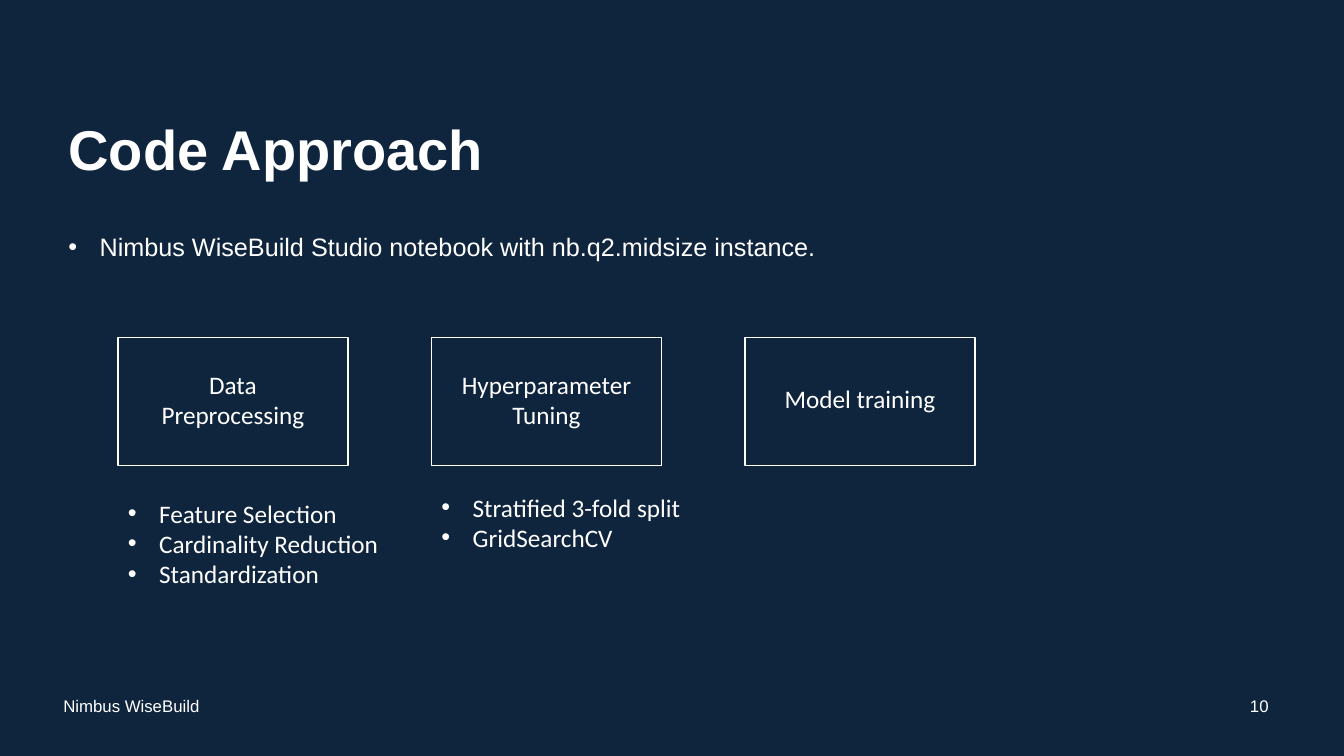
from lxml import etree
from pptx import Presentation
from pptx import util as u
from pptx.dml.color import RGBColor
from pptx.enum import shapes, text
from pptx.oxml.ns import qn

COLORS = {"navy": "0F253E", "white": "FFFFFF"}
WHITE = RGBColor.from_string(COLORS["white"])
LEFT, CENTER = text.PP_ALIGN.LEFT, text.PP_ALIGN.CENTER


def write(box, lines, size=18, font="Calibri", bold=False, align=LEFT,
          anchor=text.MSO_ANCHOR.TOP, bullets=False):
    """Fill a box with one formatted paragraph per line."""
    frame = box.text_frame
    frame.word_wrap = True
    frame.auto_size = text.MSO_AUTO_SIZE.NONE
    frame.vertical_anchor = anchor
    frame.text = "\n".join(lines)
    for para in frame.paragraphs:
        para.alignment = align
        span = para.runs[0]
        for name, value in {"size": u.Pt(size), "name": font, "bold": bold}.items():
            setattr(span.font, name, value)
        span.font.color.rgb = WHITE
        if bullets:
            props = para._p.get_or_add_pPr()
            props.set("marL", str(u.Inches(0.31)))
            props.set("indent", str(u.Inches(-0.31)))
            etree.SubElement(props, qn("a:buFont"), typeface="Arial")
            etree.SubElement(props, qn("a:buChar"), char="•")


def add_text(left, top, width, height, lines, **style):
    box = page.shapes.add_textbox(*map(u.Inches, (left, top, width, height)))
    write(box, lines, **style)
    return box


deck = Presentation()
deck.slide_width, deck.slide_height = u.Inches(13.33), u.Inches(7.5)
page = deck.slides.add_slide(deck.slide_layouts[5])
page.background.fill.solid()
page.background.fill.fore_color.rgb = RGBColor.from_string(COLORS["navy"])

# Title and introduction
title = page.shapes.title
title_place = {"left": 0.58, "top": 0.79, "width": 5.6, "height": 1.45}
for name, value in title_place.items():
    setattr(title, name, u.Inches(value))
write(title, ["Code Approach"], size=40, font="Arial", bold=True,
      anchor=text.MSO_ANCHOR.MIDDLE)
title.text_frame.paragraphs[0].line_spacing = 0.9

intro = add_text(0.58, 2.25, 10.13, 0.59,
                 ["Nimbus WiseBuild Studio notebook with nb.q2.midsize instance."],
                 font="Arial", bullets=True)
intro.text_frame.paragraphs[0].space_before = u.Pt(10)

# Footer
for left, width, line, align in [(0.53, 4.5, "Nimbus WiseBuild", LEFT),
                                 (12.24, 0.5, "10", CENTER)]:
    add_text(left, 6.8, width, 0.4, [line], size=12, font="Arial", align=align,
             anchor=text.MSO_ANCHOR.MIDDLE)

# Steps: label lines, label top, width and height, details, details top and height
STEP_LEFT, STEP_PITCH, STEP_WIDTH = 1.17, 3.11, 2.28
steps = [
    (["Data Preprocessing"], 3.61, 1.92, 0.71,
     ["Feature Selection", "Cardinality Reduction", "Standardization"], 4.89, 1.01),
    (["Hyperparameter", "Tuning"], 3.61, 2.15, 0.71,
     ["Stratified 3-fold split", "GridSearchCV"], 4.83, 0.71),
    (["Model training"], 3.75, 1.97, 0.4, [], 0, 0),
]
for index, (label, top, width, height, details, details_top, details_height) in enumerate(steps):
    left = STEP_LEFT + index * STEP_PITCH
    frame_box = page.shapes.add_shape(
        shapes.MSO_SHAPE.RECTANGLE, *map(u.Inches, (left, 3.35, STEP_WIDTH, 1.27)))
    frame_box.shadow.inherit = False
    frame_box.fill.background()
    frame_box.line.color.rgb = WHITE
    frame_box.line.width = u.Pt(1)
    add_text(left + (STEP_WIDTH - width) / 2, top, width, height, label, align=CENTER)
    if details:
        add_text(left, details_top, 3.11, details_height, details, bullets=True)

deck.save("out.pptx")
